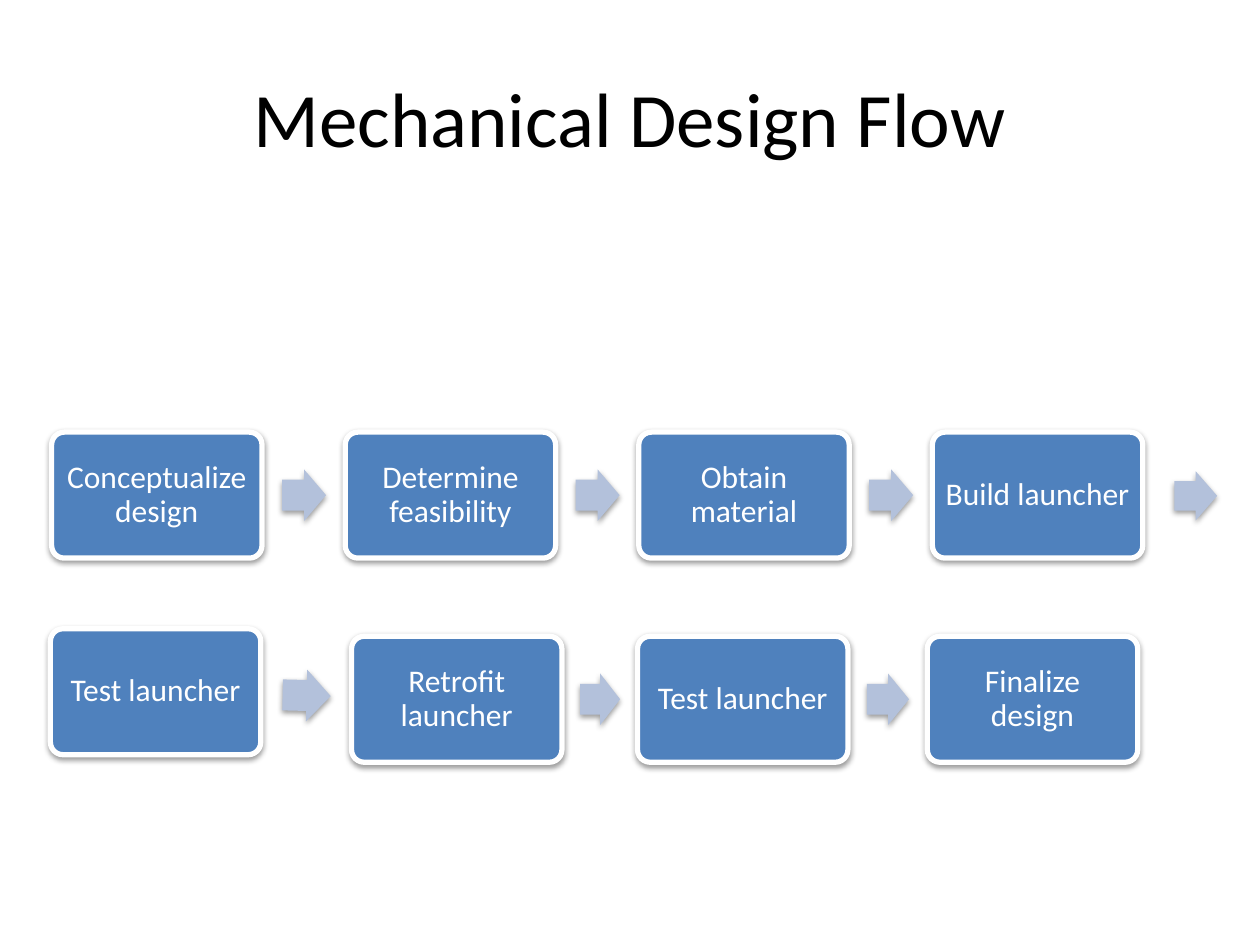
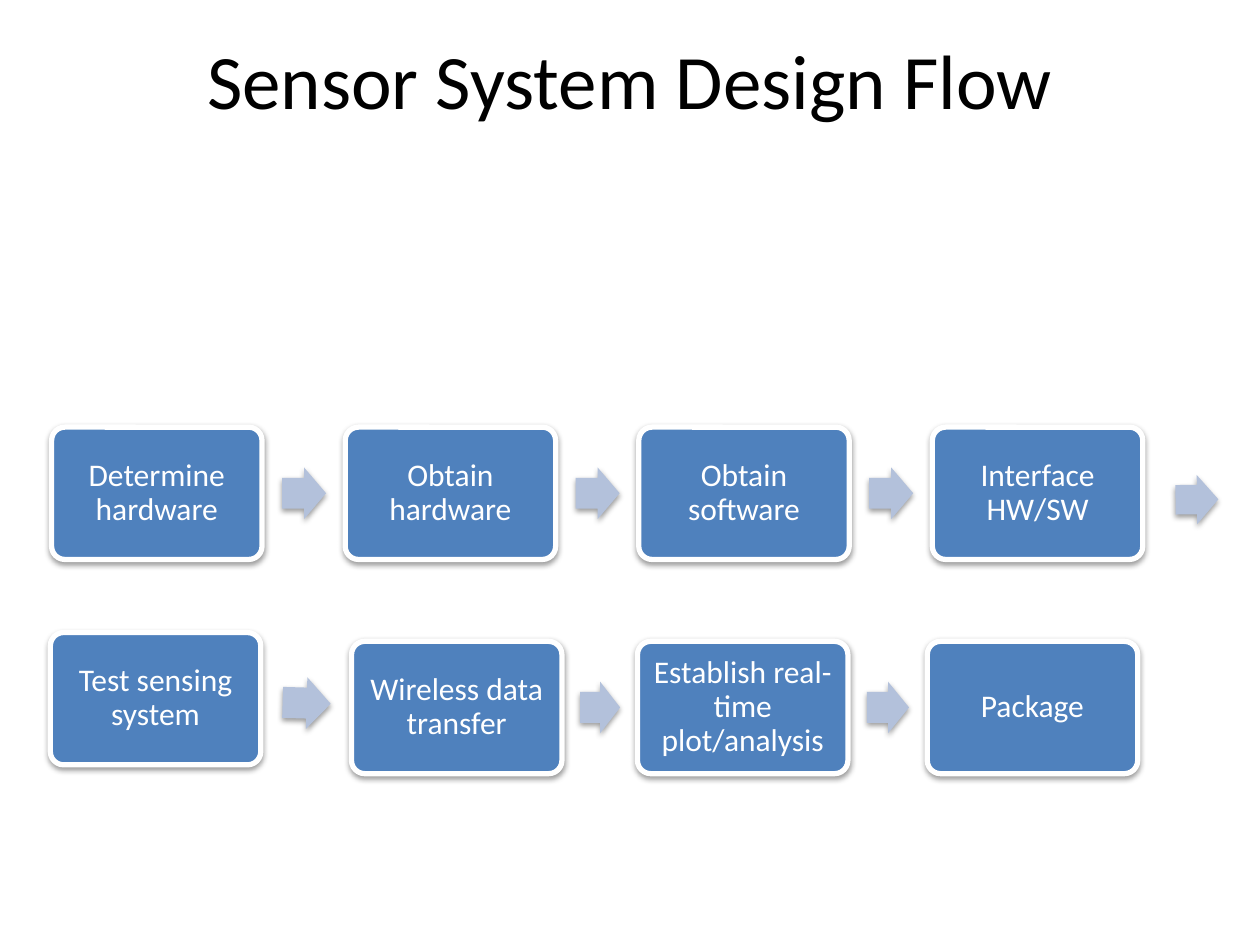
"""Build two design-flow slides with boxes and arrows in two rows."""
from itertools import pairwise
from math import atan2, degrees

from lxml.etree import SubElement
from pptx import Presentation
from pptx.dml.color import RGBColor
from pptx.enum.shapes import MSO_SHAPE
from pptx.enum.text import MSO_ANCHOR, PP_ALIGN
from pptx.oxml.ns import qn
from pptx.util import Inches, Pt

COLORS = {"box": "4F81BD", "arrow": "B3C1DB", "white": "FFFFFF", "black": "000000"}
FONT = "Calibri"

presentation = Presentation()
presentation.slide_width = Inches(10)
presentation.slide_height = Inches(7.5)
COLUMN = presentation.slide_width / 100
ROW = presentation.slide_height / 75

BOX_WIDTH = 16.7
ARROW_HEIGHT = 4.1
ARROW_SHARE = 0.53
ARROW_OFFSET = 0.24
UPPER_LEFTS = [4.1 + 23.3 * index for index in range(4)]
LOWER_LEFTS = [4, 27.9, 50.6, 73.6]

FLOWS = [
    {
        "title": "Mechanical Design Flow",
        "title_top": 3,
        "box_height": 10,
        "upper_tops": [34.3] * 4,
        "lower_tops": [49.9, 50.5, 50.5, 50.5],
        "upper": ["Conceptualize design", "Determine feasibility", "Obtain material", "Build launcher"],
        "lower": ["Test launcher", "Retrofit launcher", "Test launcher", "Finalize design"],
        "exit_arrow": (93.2, 37.4, 0),
    },
    {
        "title": "Sensor System Design Flow",
        "title_top": 0,
        "box_height": 10.5,
        "upper_tops": [33.9] * 4,
        "lower_tops": [50.2, 50.9, 50.9, 50.9],
        "upper": ["Determine hardware", "Obtain hardware", "Obtain software", "Interface HW/SW"],
        "lower": ["Test sensing system", "Wireless data transfer", "Establish real-time plot/analysis", "Package"],
        "exit_arrow": (93.3, 37.7, 359.4),
    },
]


def write_text(shape, text, size, color, inset=0.1, line_spacing=1.0):
    frame = shape.text_frame
    frame.word_wrap = True
    frame.vertical_anchor = MSO_ANCHOR.MIDDLE
    frame.margin_left = frame.margin_right = Inches(inset)
    frame.margin_top = frame.margin_bottom = Inches(min(inset, 0.07))
    paragraph = frame.paragraphs[0]
    paragraph.alignment = PP_ALIGN.CENTER
    paragraph.line_spacing = line_spacing
    run = paragraph.add_run()
    run.text = text
    run.font.name = FONT
    run.font.size = Pt(size)
    run.font.color.rgb = RGBColor.from_string(COLORS[color])


def add_block(slide, kind, left, top, width, height, color, adjustments, outline=None, rotation=0):
    shape = slide.shapes.add_shape(
        kind, int(left * COLUMN), int(top * ROW), int(width * COLUMN), int(height * ROW)
    )
    for index, value in enumerate(adjustments):
        shape.adjustments[index] = value
    shape.rotation = rotation
    shape.fill.solid()
    shape.fill.fore_color.rgb = RGBColor.from_string(COLORS[color])
    if outline:
        shape.line.color.rgb = RGBColor.from_string(COLORS[outline])
        shape.line.width = Pt(3)
    else:
        shape.line.fill.background()
    shape.shadow.inherit = False
    effects = shape._element.spPr.find(qn("a:effectLst"))
    shadow = SubElement(
        effects, qn("a:outerShdw"), blurRad="40000", dist="20000", dir="5400000", rotWithShape="0"
    )
    shadow_color = SubElement(shadow, qn("a:srgbClr"), val=COLORS["black"])
    SubElement(shadow_color, qn("a:alpha"), val="38000")
    return shape


for flow in FLOWS:
    slide = presentation.slides.add_slide(presentation.slide_layouts[6])
    title = slide.shapes.add_textbox(
        int(5 * COLUMN), int(flow["title_top"] * ROW), int(90 * COLUMN), int(12.5 * ROW)
    )
    write_text(title, flow["title"], size=44, color="black")

    for name, lefts in (("upper", UPPER_LEFTS), ("lower", LOWER_LEFTS)):
        corners = list(zip(lefts, flow[name + "_tops"]))
        for (left, top), step in zip(corners, flow[name]):
            box = add_block(
                slide, MSO_SHAPE.ROUNDED_RECTANGLE, left, top, BOX_WIDTH, flow["box_height"],
                "box", [0.1], outline="white",
            )
            write_text(box, step, size=18, color="white", inset=0.07, line_spacing=0.9)

        for (left, top), (next_left, next_top) in pairwise(corners):
            gap = next_left - left - BOX_WIDTH
            middle = (top + next_top + flow["box_height"]) / 2
            add_block(
                slide, MSO_SHAPE.RIGHT_ARROW, left + BOX_WIDTH + ARROW_OFFSET * gap,
                middle - ARROW_HEIGHT / 2, ARROW_SHARE * gap, ARROW_HEIGHT, "arrow", [0.6, 0.5],
                rotation=degrees(atan2(next_top - top, next_left - left)),
            )

    exit_left, exit_top, exit_rotation = flow["exit_arrow"]
    add_block(
        slide, MSO_SHAPE.RIGHT_ARROW, exit_left, exit_top, 3.4, 3.9, "arrow", [0.6, 0.5],
        rotation=exit_rotation,
    )

presentation.save("out.pptx")
